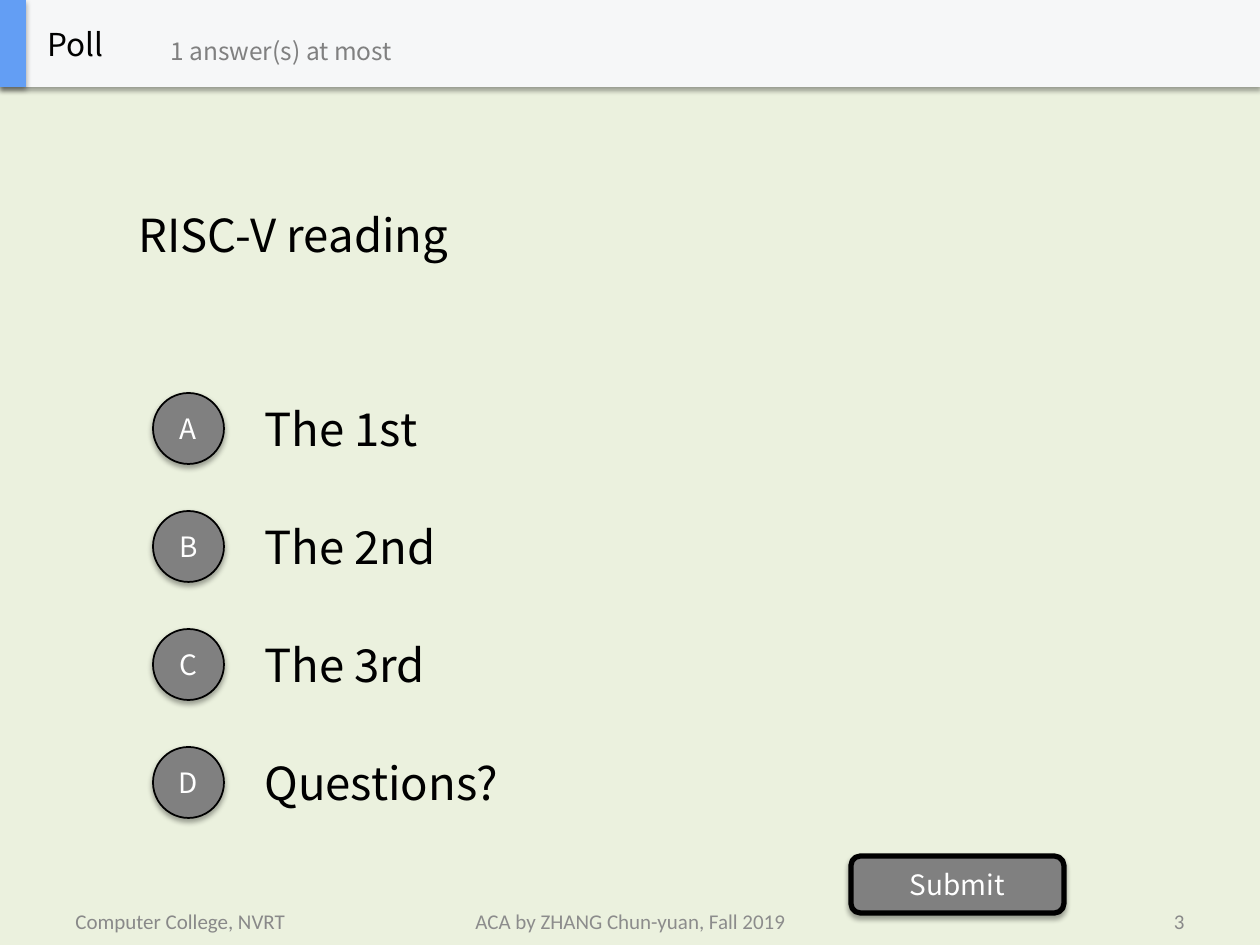
from lxml import etree
from pptx import Presentation
from pptx import util as u
from pptx.dml.color import RGBColor
from pptx.enum import shapes, text
from pptx.oxml import ns

TITLE = "RISC-V reading"
OPTIONS = [("A", "The 1st"), ("B", "The 2nd"), ("C", "The 3rd"), ("D", "Questions?")]
FOOTER = [
    ("Computer College, NVRT", 63, 294, "l", "foot"),
    ("ACA by ZHANG Chun-yuan, Fall 2019", 431, 399, "c", "credit"),
    ("3", 903, 294, "r", "foot"),
]
HEADER = [("Poll", (35, 0, 262, 87), 18, "black"),
          ("1 answer(s) at most", (158, 15, 315, 71), 14, "gray")]
COLORS = {"back": "EBF1DE", "bar": "F6F7F8", "accent": "639EF4", "gray": "808080",
          "black": "000000", "white": "FFFFFF", "foot": "898989", "credit": "8C8C8C"}
ALIGN = {"l": text.PP_ALIGN.LEFT, "c": text.PP_ALIGN.CENTER, "r": text.PP_ALIGN.RIGHT}
KIND = shapes.MSO_SHAPE
SANS = "Noto Sans CJK SC"
PX = 914400 // 126
FIRST, PITCH = 384, 118


def color(name):
    return RGBColor.from_string(COLORS[name])


def emu(box):
    return [u.Emu(n * PX) for n in box]


def write(shape, words, size=26, ink="black", align="l", font=SANS):
    frame = shape.text_frame
    frame.word_wrap = True
    frame.vertical_anchor = text.MSO_ANCHOR.MIDDLE
    para = frame.paragraphs[0]
    para.alignment = ALIGN[align]
    run = para.add_run()
    run.text = words
    run.font.size = u.Pt(size)
    run.font.name = font
    run.font.color.rgb = color(ink)


def label(slide, words, box, **style):
    write(slide.shapes.add_textbox(*emu(box)), words, **style)


def shadow(shape):
    shape.shadow.inherit = False
    effects = shape._element.spPr.find(ns.qn("a:effectLst"))
    outer = etree.SubElement(effects, ns.qn("a:outerShdw"), blurRad=str(u.Pt(3.1)),
                             dist=str(u.Pt(1.8)), dir="5400000", rotWithShape="0")
    tint = etree.SubElement(outer, ns.qn("a:srgbClr"), val=COLORS["black"])
    etree.SubElement(tint, ns.qn("a:alpha"), val="35000")


def block(slide, kind, box, fill, line=0):
    shape = slide.shapes.add_shape(kind, *emu(box))
    shape.fill.solid()
    shape.fill.fore_color.rgb = color(fill)
    if line:
        shape.line.color.rgb = color("black")
        shape.line.width = u.Pt(line)
    else:
        shape.line.fill.background()
    shadow(shape)
    return shape


def button(slide, kind, box, words, line):
    shape = block(slide, kind, box, "gray", line)
    frame = shape.text_frame
    frame.margin_left = frame.margin_right = 0
    write(shape, words, size=16, ink="white", align="c")


def main():
    deck = Presentation()
    deck.slide_width, deck.slide_height = emu((1260, 945))
    slide = deck.slides.add_slide(deck.slide_layouts[6])
    slide.background.fill.solid()
    slide.background.fill.fore_color.rgb = color("back")

    label(slide, TITLE, (126, 87, 1008, 295))
    for row, (letter, answer) in enumerate(OPTIONS):
        top = FIRST + row * PITCH
        label(slide, answer, (252, top, 882, 88))
        button(slide, KIND.OVAL, (153, top + 9, 71, 71), letter, 1)
    button(slide, KIND.ROUNDED_RECTANGLE, (851, 856, 213, 57), "Submit", 3)

    for words, left, width, align, ink in FOOTER:
        label(slide, words, (left, 896, width, 50), size=12, ink=ink,
              align=align, font="Calibri")

    for width, fill in ((1260, "bar"), (26, "accent")):
        block(slide, KIND.RECTANGLE, (0, 0, width, 87), fill)
    for words, box, size, ink in HEADER:
        label(slide, words, box, size=size, ink=ink)

    deck.save("out.pptx")


if __name__ == "__main__":
    main()
